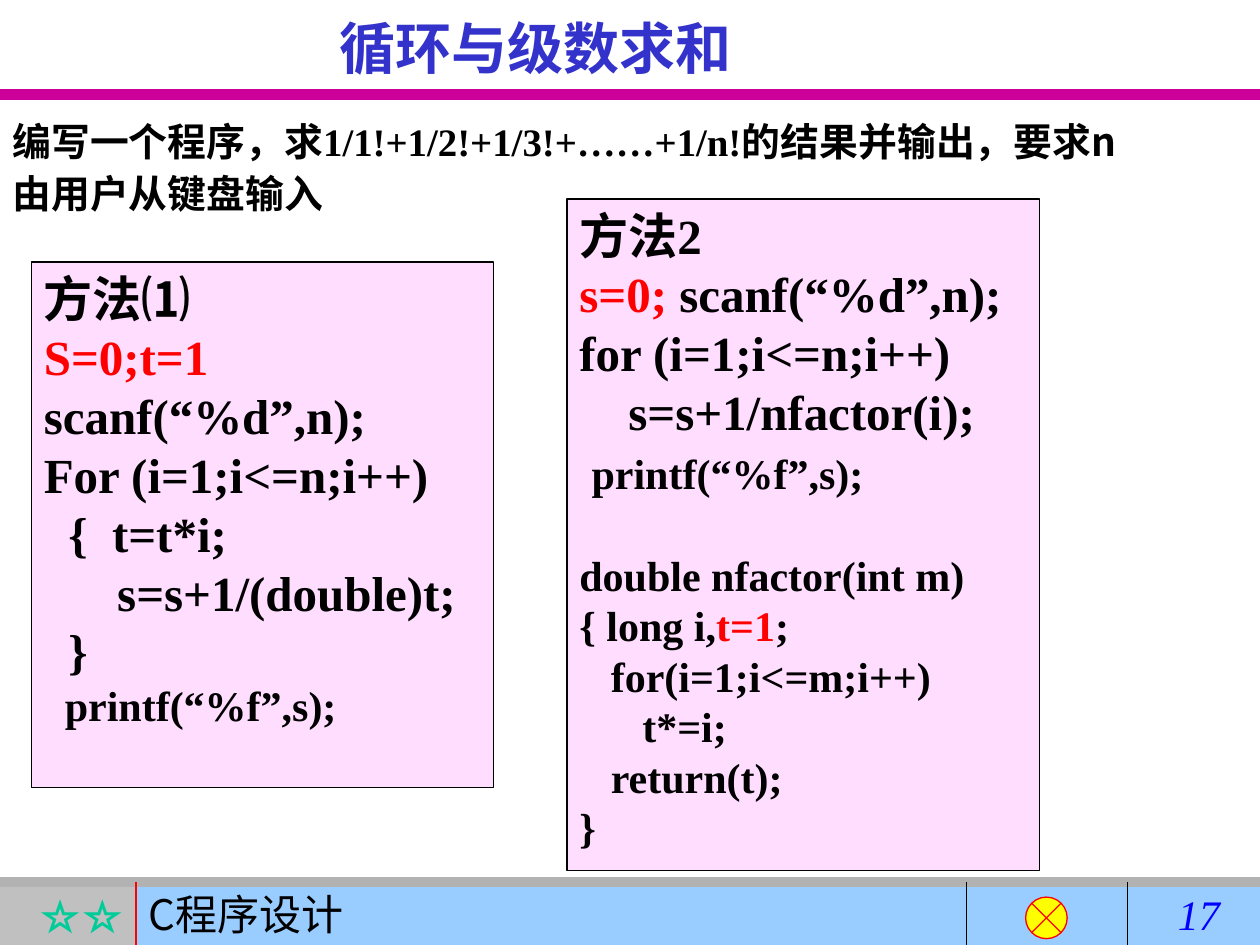
from dataclasses import dataclass

from pptx import Presentation
from pptx.dml.color import RGBColor
from pptx.enum.shapes import MSO_CONNECTOR, MSO_SHAPE
from pptx.enum.text import MSO_ANCHOR, PP_ALIGN
from pptx.oxml.ns import qn
from pptx.util import Inches, Pt
from lxml.etree import SubElement


@dataclass(frozen=True)
class Theme:
    """Colours, fonts and type sizes of the slide."""
    black: str = "000000"
    red: str = "FF0000"
    blue: str = "0000FF"
    title: str = "3333CC"
    magenta: str = "CC0099"
    grey: str = "B2B2B2"
    silver: str = "C0C0C0"
    sky: str = "99CCFF"
    pink: str = "FFDDFF"
    yellow: str = "FFFF00"
    green: str = "00CC99"
    serif: str = "Times New Roman"
    sans: str = "Noto Sans CJK SC"
    head: float = 32
    code: float = 28
    small: float = 24
    task: float = 22.2
    hair: float = 0.75
    bar: float = 6
    lead: float = 1.2
    hang: float = 0.38


class Deck:
    """Draws styled elements on the current slide."""

    def __init__(self, theme):
        """Open a deck with one blank slide."""
        self.theme = theme
        self.file = Presentation()
        self.file.slide_width, self.file.slide_height = Inches(10), Inches(7.5)
        self.slide = self.file.slides.add_slide(self.file.slide_layouts[6])

    def line(self, start, end, color, width):
        """Draw a straight line."""
        ends = [Inches(v) for v in (*start, *end)]
        link = self.slide.shapes.add_connector(MSO_CONNECTOR.STRAIGHT, *ends)
        link.line.color.rgb = RGBColor.from_string(color)
        link.line.width = Pt(width)
        SubElement(link._element.spPr, qn("a:effectLst"))

    def shape(self, at, fill, edge=None, kind=MSO_SHAPE.RECTANGLE):
        """Draw a filled preset shape."""
        item = self.slide.shapes.add_shape(kind, *map(Inches, at))
        item.shadow.inherit = False
        item.fill.solid()
        item.fill.fore_color.rgb = RGBColor.from_string(fill)
        if edge:
            item.line.color.rgb = RGBColor.from_string(edge)
            item.line.width = Pt(self.theme.hair)
        else:
            item.line.fill.background()
        return item

    def box(self, at):
        """Add an empty text box."""
        return self.slide.shapes.add_textbox(*map(Inches, at))

    def text(self, item, rows, size, align=PP_ALIGN.LEFT, anchor=MSO_ANCHOR.TOP,
             hang=0, lead=None, **style):
        """Fill an item with rows of (text, style) runs."""
        frame = item.text_frame
        frame.word_wrap = True
        frame.vertical_anchor = anchor
        for n, row in enumerate(rows):
            para = frame.paragraphs[0] if n == 0 else frame.add_paragraph()
            para.alignment = align
            if hang:
                props = para._p.get_or_add_pPr()
                props.set("marL", str(Inches(hang)))
                props.set("indent", str(-Inches(hang)))
            looks = [{"size": size, **style, **look} for _, look in row]
            top = max(look["size"] for look in looks)
            para.line_spacing = Pt(round(top * (lead or self.theme.lead), 1))
            gap = max(look.pop("gap", 0) for look in looks)
            if gap:
                para.space_before = Pt(gap)
            for (words, _), look in zip(row, looks):
                self.run(para, words, **look)

    def run(self, para, words, size, color=None, face=None, bold=False,
            italic=False):
        """Add one styled run to a paragraph."""
        run = para.add_run()
        run.text = words
        font = run.font
        font.size, font.bold, font.italic = Pt(size), bold, italic
        font.color.rgb = RGBColor.from_string(color or self.theme.black)
        font.name = face or self.theme.serif
        SubElement(run._r.get_or_add_rPr(), qn("a:ea")).set("typeface", self.theme.sans)


def frame(deck):
    """Draw the footer, the rules and the title."""
    t = deck.theme
    mark = deck.shape((0, 7, 1.08, 0.5), t.silver)
    deck.text(mark, [[("☆☆", {})]], t.small, PP_ALIGN.RIGHT, color=t.green, bold=True)
    name = deck.shape((1.08, 7, 8.92, 0.5), t.sky)
    deck.text(name, [[("C程序设计", {})]], t.small, face=t.sans)
    deck.line((0, 7), (10, 7), t.grey, t.bar)
    for x, color in ((1.08, t.red), (7.67, t.black), (8.95, t.black)):
        deck.line((x, 7), (x, 7.5), color, t.hair)
    deck.line((0, 0.75), (10, 0.75), t.magenta, t.bar)
    deck.shape((8.14, 7.12, 0.33, 0.33), t.yellow, t.red,
               MSO_SHAPE.FLOWCHART_SUMMING_JUNCTION)
    deck.text(deck.box((9.25, 7, 0.75, 0.5)), [[("17", {})]], t.small,
              color=t.blue, italic=True)
    deck.text(deck.box((0, 0, 8.5, 0.75)), [[("循环与级数求和", {})]], t.head,
              PP_ALIGN.CENTER, MSO_ANCHOR.MIDDLE, color=t.title, bold=True)


def main():
    """Build the slide and save it."""
    t = Theme()
    deck = Deck(t)
    frame(deck)
    red, small, sans = {"color": t.red}, {"size": t.small}, {"face": t.sans}
    task = [
        [("编写一个程序，求", sans), ("1/1!+1/2!+1/3!+……+1/n!", {}),
         ("的结果并输出，要求n", sans)],
        [("由用户从键盘输入", {**sans, "gap": 6})],
    ]
    deck.text(deck.box((0, 0.92, 9.83, 1.08)), task, t.task, hang=t.hang,
              lead=t.lead * 0.9, bold=True)
    first = [
        [("方法⑴", {})],
        [("S=0;t=1", red)],
        [("scanf(“%d”,n);", {})],
        [("For (i=1;i<=n;i++)", {})],
        [("  {  t=t*i;", {})],
        [("      s=s+1/(double)t;", {})],
        [("  }", {})],
        [("  printf(“%f”,s);", small)],
    ]
    second = [
        [("方法2", {})],
        [("s=0;", red), (" scanf(“%d”,n);", {})],
        [("for (i=1;i<=n;i++)", {})],
        [("    s=s+1/nfactor(i);", {})],
        [(" ", {}), ("printf(“%f”,s);", small)],
        [("double nfactor(int m)", {**small, "gap": t.small * t.lead})],
        [("{ long i,", small), ("t=1", {**small, **red}), (";", small)],
        [("   for(i=1;i<=m;i++)", small)],
        [("      t*=i;", small)],
        [("   return(t);", small)],
        [("}", small)],
    ]
    for at, rows in (((0.25, 2.08, 3.67, 4.17), first),
                     ((4.5, 1.58, 3.75, 5.33), second)):
        deck.text(deck.shape(at, t.pink, t.black), rows, t.code,
                  PP_ALIGN.JUSTIFY, hang=t.hang, bold=True)
    deck.file.save("out.pptx")


if __name__ == "__main__":
    main()
